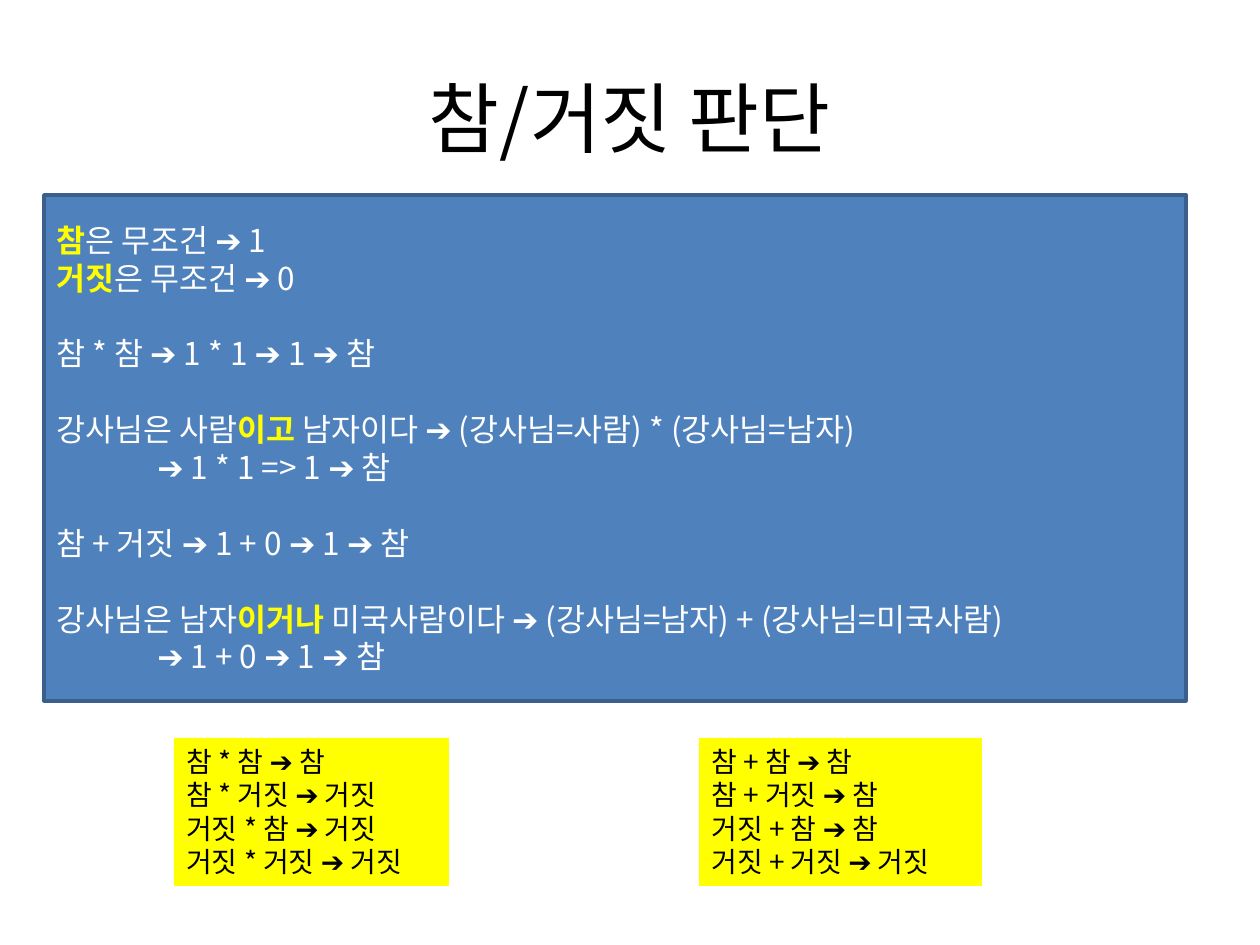
import pptx
import pptx.dml.color
import pptx.enum.shapes
import pptx.enum.text
import pptx.oxml.ns
import pptx.util
from lxml import etree

COLORS = {
    "black": "000000",
    "white": "FFFFFF",
    "yellow": "FFFF00",
    "blue": "4F81BD",
    "border": "3A5F8C",
}
FONT = "Noto Sans CJK KR"
PX_PER_INCH = 126


def px(length):
    return pptx.util.Emu(round(length * 914400 / PX_PER_INCH))


def color(name):
    return pptx.dml.color.RGBColor.from_string(COLORS[name])


class LogicSlide:
    def __init__(self, presentation):
        self.slide = presentation.slides.add_slide(presentation.slide_layouts[5])

    def add_run(self, paragraph, text, size, color_name, bold=False):
        run = paragraph.add_run()
        run.text = text
        run.font.name = FONT
        run.font.size = pptx.util.Pt(size)
        run.font.bold = bold
        run.font.color.rgb = color(color_name)
        east_asian = etree.SubElement(
            run.font._element, pptx.oxml.ns.qn("a:ea"))
        east_asian.set("typeface", FONT)

    def add_title(self, text, left, top, width, height):
        title = self.slide.shapes.title
        title.left, title.top = px(left), px(top)
        title.width, title.height = px(width), px(height)
        title.text_frame.vertical_anchor = pptx.enum.text.MSO_ANCHOR.MIDDLE
        paragraph = title.text_frame.paragraphs[0]
        paragraph.alignment = pptx.enum.text.PP_ALIGN.CENTER
        self.add_run(paragraph, text, 44, "black")

    def add_panel(self, groups, left, top, width, height):
        panel = self.slide.shapes.add_shape(
            pptx.enum.shapes.MSO_SHAPE.RECTANGLE,
            px(left), px(top), px(width), px(height))
        panel.shadow.inherit = False
        panel.fill.solid()
        panel.fill.fore_color.rgb = color("blue")
        panel.line.color.rgb = color("border")
        panel.line.width = pptx.util.Pt(2)
        frame = panel.text_frame
        frame.word_wrap = True
        frame.vertical_anchor = pptx.enum.text.MSO_ANCHOR.MIDDLE
        paragraph = frame.paragraphs[0]
        for group_index, group in enumerate(groups):
            for line_index, runs in enumerate(group):
                if group_index or line_index:
                    paragraph = frame.add_paragraph()
                paragraph.alignment = pptx.enum.text.PP_ALIGN.LEFT
                if group_index and not line_index:
                    paragraph.space_before = px(38)
                if runs[0].startswith("➔"):
                    paragraph._p.get_or_add_pPr().set("marL", str(px(101)))
                for run_index, text in enumerate(runs):
                    highlighted = len(runs) > 1 and run_index == len(runs) - 2
                    self.add_run(paragraph, text, 18,
                                 "yellow" if highlighted else "white", highlighted)

    def add_truth_table(self, lines, left, top, width, height):
        box = self.slide.shapes.add_textbox(
            px(left), px(top), px(width), px(height))
        box.fill.solid()
        box.fill.fore_color.rgb = color("yellow")
        frame = box.text_frame
        frame.word_wrap = False
        frame.auto_size = pptx.enum.text.MSO_AUTO_SIZE.SHAPE_TO_FIT_TEXT
        for index, line in enumerate(lines):
            paragraph = frame.add_paragraph() if index else frame.paragraphs[0]
            self.add_run(paragraph, line, 16, "black")


def main():
    presentation = pptx.Presentation()
    presentation.slide_width = px(1260)
    presentation.slide_height = px(945)
    logic = LogicSlide(presentation)
    logic.add_title("참/거짓 판단", 63, 38, 1134, 158)
    logic.add_panel([
        [["참", "은 무조건 ➔ 1"], ["거짓", "은 무조건 ➔ 0"]],
        [["참 * 참 ➔ 1 * 1 ➔ 1 ➔ 참"]],
        [["강사님은 사람", "이고", " 남자이다 ➔ (강사님=사람) * (강사님=남자)"],
         ["➔ 1 * 1 => 1 ➔ 참"]],
        [["참 + 거짓 ➔ 1 + 0 ➔ 1 ➔ 참"]],
        [["강사님은 남자", "이거나", " 미국사람이다 ➔ (강사님=남자) + (강사님=미국사람)"],
         ["➔ 1 + 0 ➔ 1 ➔ 참"]],
    ], 44, 195, 1142, 506)
    logic.add_truth_table(
        ["참 * 참 ➔ 참", "참 * 거짓 ➔ 거짓", "거짓 * 참 ➔ 거짓", "거짓 * 거짓 ➔ 거짓"],
        174, 738, 275, 148)
    logic.add_truth_table(
        ["참 + 참 ➔ 참", "참 + 거짓 ➔ 참", "거짓 + 참 ➔ 참", "거짓 + 거짓 ➔ 거짓"],
        699, 738, 283, 148)
    presentation.save("out.pptx")


if __name__ == "__main__":
    main()
